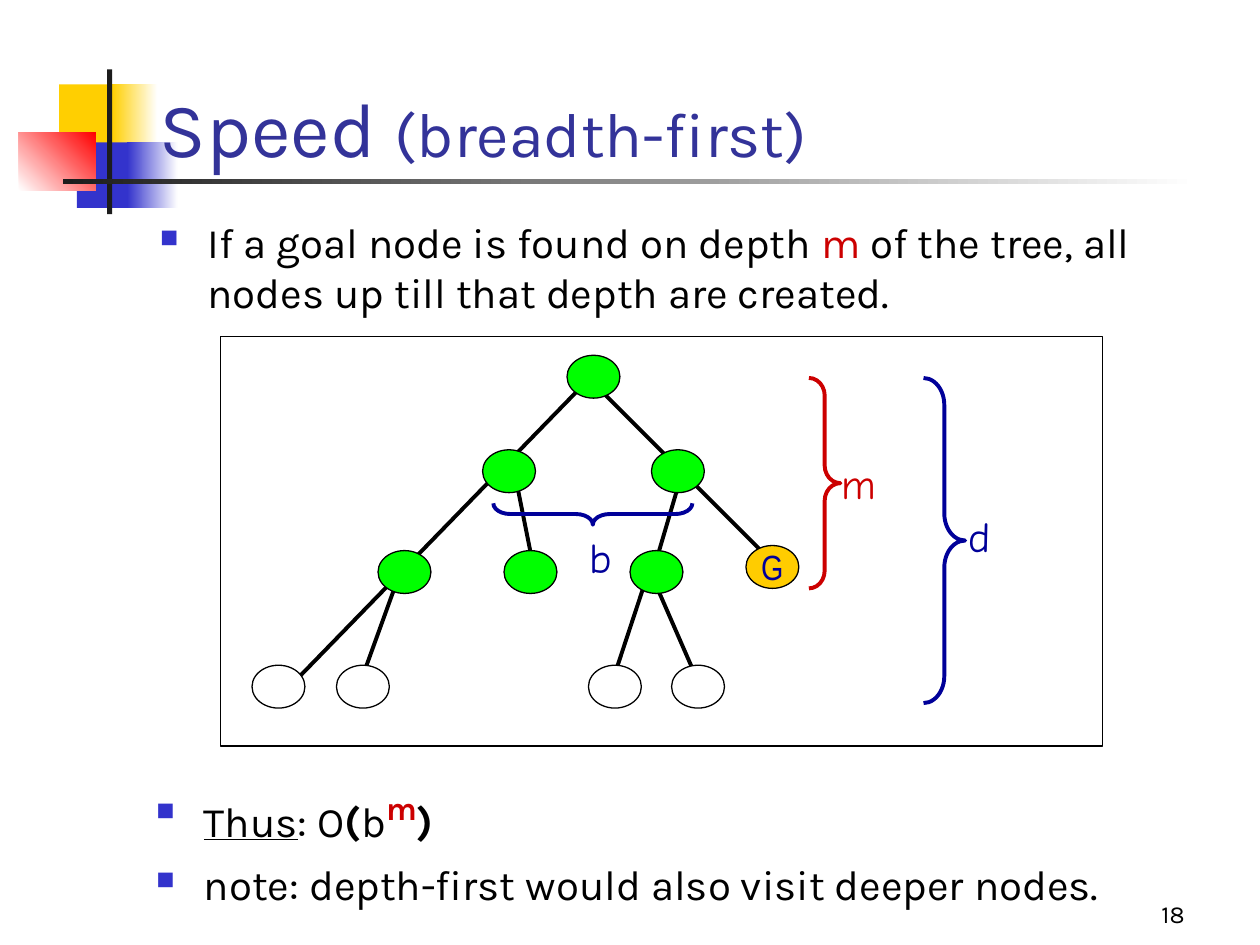
from dataclasses import dataclass

from lxml import etree
from pptx import Presentation
from pptx.dml.color import RGBColor
from pptx.enum.shapes import MSO_CONNECTOR as Connector, MSO_SHAPE as Shape
from pptx.enum.text import MSO_ANCHOR as Anchor, PP_ALIGN as Align
from pptx.oxml.ns import qn
from pptx.util import Inches, Pt


@dataclass(frozen=True)
class Theme:
    black: str = "000000"
    white: str = "FFFFFF"
    title: str = "333399"
    bullet: str = "3333CC"
    yellow: str = "FFCF01"
    red: str = "FF0000"
    dark: str = "1C1C1C"
    visited: str = "00FF00"
    goal: str = "FFCC00"
    navy: str = "000099"
    depth: str = "CC0000"
    text_font: str = "Karla"
    label_font: str = "Comic Neue"
    goal_font: str = "Arial Narrow"
    title_size: int = 44
    subtitle_size: int = 36
    body_size: int = 24
    power_size: int = 32
    goal_size: int = 20
    number_size: int = 14
    thin: float = 0.75
    thick: float = 2.25


THEME = Theme()


def rgb(value):
    return RGBColor.from_string(value)


def add_shape(slide, kind, box, fill=None, line=None, width=THEME.thin):
    shape = slide.shapes.add_shape(kind, *map(Inches, box))
    shape.shadow.inherit = False
    if fill:
        shape.fill.solid()
        shape.fill.fore_color.rgb = rgb(fill)
    else:
        shape.fill.background()
    if line:
        shape.line.color.rgb = rgb(line)
        shape.line.width = Pt(width)
    else:
        shape.line.fill.background()
    return shape


def add_fade(slide, box, start, end, angle=0):
    fade = add_shape(slide, Shape.RECTANGLE, box)
    fade.fill.gradient()
    fade.fill.gradient_angle = angle
    for stop, color in zip(fade.fill.gradient_stops, (start, end)):
        stop.color.rgb = rgb(color)


def style(font, size=None, color=None, name=None):
    if size:
        font.size = Pt(size)
    if color:
        font.color.rgb = rgb(color)
    if name:
        font.name = name


def add_text(slide, box, anchor=Anchor.TOP, wrap=True):
    frame = slide.shapes.add_textbox(*map(Inches, box)).text_frame
    frame.word_wrap = wrap
    frame.vertical_anchor = anchor
    return frame


def add_run(paragraph, text, **font):
    run = paragraph.add_run()
    run.text = text
    style(run.font, **font)
    return run


def make_bullet(paragraph):
    props = paragraph._p.get_or_add_pPr()
    props.set("marL", str(Inches(0.38)))
    props.set("indent", str(-Inches(0.38)))
    color = etree.SubElement(props, qn("a:buClr"))
    etree.SubElement(color, qn("a:srgbClr"), val=THEME.bullet)
    etree.SubElement(props, qn("a:buSzPct"), val="60000")
    etree.SubElement(props, qn("a:buChar"), char="■")
    style(paragraph.font, THEME.body_size, THEME.black, THEME.text_font)


def draw_ornament(slide, x, y):
    """Coloured squares crossed by two dark bars."""
    def at(dx, dy, width, height):
        return x + dx, y + dy, width, height

    for left, top, solid, fade, color in (
            (0.32, 0.12, 0.48, 0.36, THEME.yellow),
            (0.46, 0.58, 0.46, 0.4, THEME.bullet)):
        add_shape(slide, Shape.RECTANGLE, at(left, top, solid, 0.52), color)
        add_fade(slide, at(left + solid - 0.06, top, fade, 0.52), color, THEME.white)
    add_fade(slide, at(0, 0.5, 0.61, 0.46), THEME.white, THEME.red, 45)
    add_shape(slide, Shape.RECTANGLE, at(0.7, 0, 0.04, 1.15), THEME.dark)
    add_fade(slide, at(0.35, 0.87, 9, 0.04), THEME.dark, THEME.white)


def draw_title(slide, box):
    title = add_text(slide, box, Anchor.BOTTOM).paragraphs[0]
    style(title.font, color=THEME.title, name=THEME.text_font)
    add_run(title, "Speed ", size=THEME.title_size)
    add_run(title, "(breadth-first)", size=THEME.subtitle_size)


def draw_statement(slide, box):
    statement = add_text(slide, box).paragraphs[0]
    make_bullet(statement)
    add_run(statement, "If a goal node is found on depth ")
    add_run(statement, "m", color=THEME.depth)
    add_run(statement, " of the tree, all nodes up till that depth are created.")


def draw_tree(slide, box):
    """Framed search tree with braces for branching and depth."""
    x, y = box[:2]
    add_shape(slide, Shape.RECTANGLE, box, THEME.white, THEME.black)

    # Branches, drawn first so that the nodes cover their ends
    branches = (
        (2.92, 0.33, 4.42, 1.83), (3.42, 1.89, 3.83, 2.83),
        (3.42, 1.8, 3.08, 2.83), (1.42, 1.89, 1.08, 2.83),
        (3.67, 1.06, 3.42, 1.91), (2.33, 1.06, 2.5, 1.91),
        (3, 0.26, 0.5, 2.83))
    for x1, y1, x2, y2 in branches:
        branch = slide.shapes.add_connector(
            Connector.STRAIGHT, *map(Inches, (x + x1, y + y1, x + x2, y + y2)))
        branch.line.color.rgb = rgb(THEME.black)
        branch.line.width = Pt(THEME.thick)
        etree.SubElement(branch._element.spPr, qn("a:effectLst"))

    # Nodes, level by level
    levels = (
        (0.15, THEME.visited, (2.75,)),
        (0.9, THEME.visited, (2.08, 3.42)),
        (1.7, THEME.visited, (1.25, 2.25, 3.25)),
        (2.61, THEME.white, (0.25, 0.92, 2.92, 3.58)),
        (1.66, THEME.goal, (4.17,)))
    for top, color, lefts in levels:
        for left in lefts:
            node = add_shape(slide, Shape.OVAL, (x + left, y + top, 0.42, 0.34),
                             color, THEME.black)
    goal = node.text_frame
    goal.word_wrap = False
    goal.vertical_anchor = Anchor.MIDDLE
    goal.text = "G"
    goal.paragraphs[0].alignment = Align.CENTER
    style(goal.paragraphs[0].font, THEME.goal_size, THEME.navy, THEME.goal_font)

    # Braces: box, curl, rotation, then label and its place
    braces = (
        ((2.87, 0.62, 0.17, 1.58), 0.79, 90, "b", (2.83, 1.5, 0.38), THEME.navy),
        ((4.67, 0.33, 0.25, 1.67), 0.56, 0, "m", (4.83, 0.91, 0.47), THEME.depth),
        ((5.58, 0.33, 0.33, 2.58), 0.65, 0, "d", (5.84, 1.33, 0.37), THEME.navy))
    for (left, top, width, height), curl, turn, name, place, color in braces:
        brace = add_shape(slide, Shape.RIGHT_BRACE, (x + left, y + top, width, height),
                          line=color, width=THEME.thick)
        brace.adjustments[0] = curl
        brace.rotation = turn
        label_left, label_top, label_width = place
        label = add_text(slide, (x + label_left, y + label_top, label_width, 0.5),
                         wrap=False)
        label.text = name
        style(label.paragraphs[0].font, THEME.body_size, color, THEME.label_font)


def draw_conclusion(slide, box):
    frame = add_text(slide, box)
    thus = frame.paragraphs[0]
    make_bullet(thus)
    add_run(thus, "Thus").font.underline = True
    add_run(thus, ": O")
    add_run(thus, "(").font.bold = True
    add_run(thus, "b")
    power = add_run(thus, "m", size=THEME.power_size, color=THEME.depth)
    power.font.bold = True
    power._r.get_or_add_rPr().set("baseline", "30000")
    add_run(thus, ")").font.bold = True

    note = frame.add_paragraph()
    make_bullet(note)
    note.space_before = Pt(6)
    add_run(note, "note: depth-first would also visit deeper nodes.")


def draw_number(slide, box):
    number = add_text(slide, box, Anchor.BOTTOM).paragraphs[0]
    number.alignment = Align.RIGHT
    style(number.font, THEME.number_size, THEME.black, THEME.text_font)
    add_run(number, "18")


def main():
    deck = Presentation()
    deck.slide_width, deck.slide_height = Inches(10), Inches(7.5)
    slide = deck.slides.add_slide(deck.slide_layouts[6])
    draw_ornament(slide, 0.15, 0.55)
    draw_number(slide, (7.42, 6.92, 2.08, 0.5))
    draw_title(slide, (1.17, 0.17, 8.5, 1.25))
    draw_statement(slide, (1.17, 1.67, 8.5, 1.17))
    draw_tree(slide, (1.75, 2.67, 7, 3.25))
    draw_conclusion(slide, (1.14, 6.15, 9, 1.08))
    deck.save("out.pptx")


if __name__ == "__main__":
    main()
